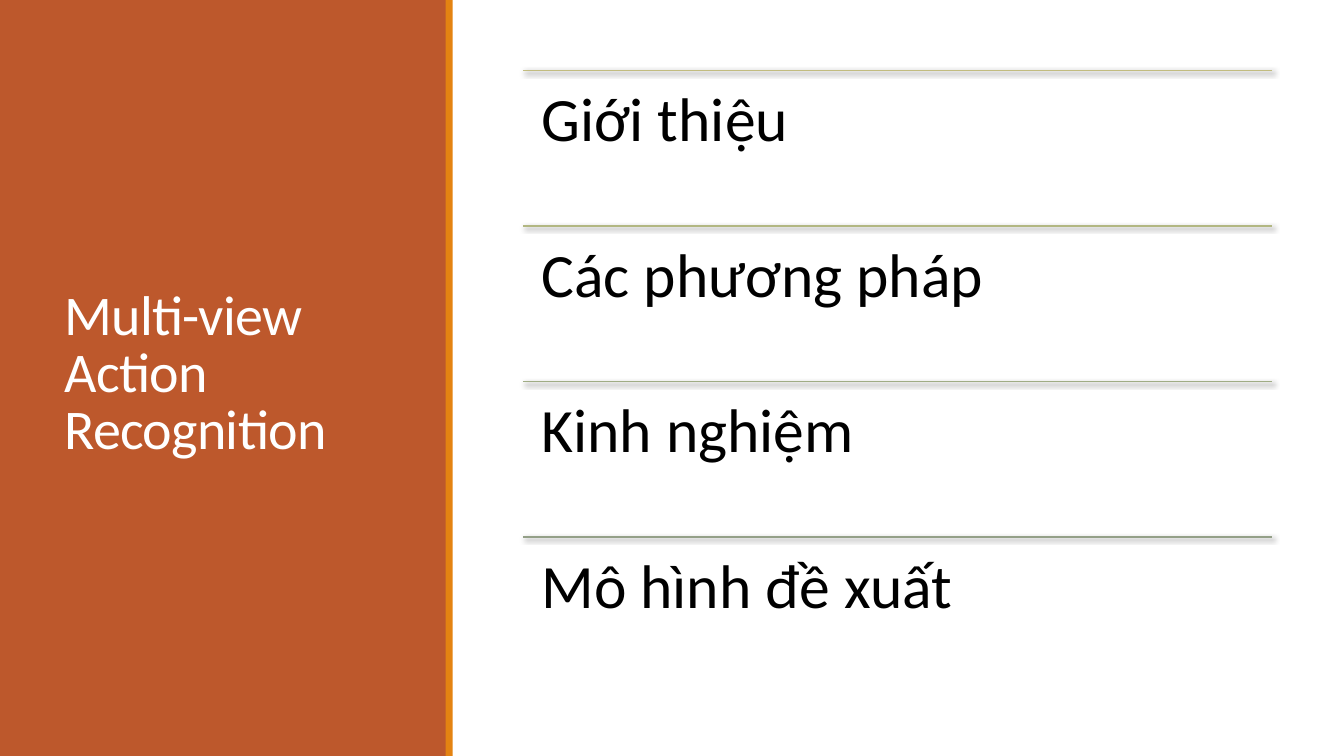
import pptx
import pptx.util
import pptx.dml.color
import pptx.enum.shapes
import pptx.enum.text
import pptx.oxml
import pptx.oxml.ns

RGBColor = pptx.dml.color.RGBColor
Inches = pptx.util.Inches
Pt = pptx.util.Pt

RUST = RGBColor(0xBD, 0x58, 0x2C)
AMBER = RGBColor(0xE4, 0x83, 0x12)
WHITE = RGBColor(0xFF, 0xFF, 0xFF)
BLACK = RGBColor(0x00, 0x00, 0x00)
SAND = RGBColor(0xC2, 0xBC, 0x80)
OLIVE = RGBColor(0xB2, 0xB7, 0x82)
MOSS = RGBColor(0xA0, 0xAC, 0x85)
SAGE = RGBColor(0x94, 0xA0, 0x88)

FONT = "Calibri"
WIDE, HIGH = 13.33, 7.5

# Agenda grid: one column, equal rows
LEFT, TOP = 5.19, 0.7
COL, ROW = 7.43, 1.543
INSET = 0.18

TOPICS = [
    ("Giới thiệu", SAND),
    ("Các phương pháp", OLIVE),
    ("Kinh nghiệm", MOSS),
    ("Mô hình đề xuất", SAGE),
]

SHADOW = (
    '<a:effectLst %s><a:outerShdw blurRad="44450" dist="25400" dir="2700000"'
    ' algn="br" rotWithShape="0"><a:srgbClr val="000000">'
    '<a:alpha val="60000"/></a:srgbClr></a:outerShdw></a:effectLst>'
    % pptx.oxml.ns.nsdecls("a")
)


def style(para, size, color, space):
    para.alignment = pptx.enum.text.PP_ALIGN.LEFT
    para.line_spacing = space
    for run in para.runs:
        run.font.name = FONT
        run.font.size = Pt(size)
        run.font.color.rgb = color


def add_band(slide, left, width, color):
    """Full-height colour band."""
    band = slide.shapes.add_shape(
        pptx.enum.shapes.MSO_SHAPE.RECTANGLE,
        Inches(left), 0, Inches(width), Inches(HIGH))
    band.shadow.inherit = False
    band.fill.solid()
    band.fill.fore_color.rgb = color
    band.line.fill.background()


def set_title(slide, text):
    """Title in the side panel, raised above the bands."""
    title = slide.shapes.title
    title.left, title.top = Inches(0.54), Inches(0.57)
    title.width, title.height = Inches(3.37), Inches(6.31)
    frame = title.text_frame
    frame.text = text
    frame.word_wrap = True
    frame.auto_size = pptx.enum.text.MSO_AUTO_SIZE.NONE
    frame.vertical_anchor = pptx.enum.text.MSO_ANCHOR.MIDDLE
    para = frame.paragraphs[0]
    style(para, 40, WHITE, 0.85)
    para.runs[0].font._element.set("spc", "-50")
    title._element.getparent().append(title._element)


def add_rule(slide, top, color):
    """Thin rule with a soft shadow."""
    rule = slide.shapes.add_connector(
        pptx.enum.shapes.MSO_CONNECTOR.STRAIGHT,
        Inches(LEFT), Inches(top), Inches(LEFT + COL), Inches(top))
    rule.line.color.rgb = color
    rule.line.width = Pt(1)
    rule._element.spPr.append(pptx.oxml.parse_xml(SHADOW))


def add_topic(slide, top, text):
    box = slide.shapes.add_textbox(
        Inches(LEFT), Inches(top), Inches(COL), Inches(ROW))
    frame = box.text_frame
    frame.text = text
    frame.word_wrap = True
    frame.margin_left = frame.margin_right = Inches(INSET)
    frame.margin_top = frame.margin_bottom = Inches(INSET)
    style(frame.paragraphs[0], 44, BLACK, 0.9)


def main():
    deck = pptx.Presentation()
    deck.slide_width, deck.slide_height = Inches(WIDE), Inches(HIGH)
    slide = deck.slides.add_slide(deck.slide_layouts.get_by_name("Title Only"))

    # Side panel
    add_band(slide, 0, 4.43, RUST)
    add_band(slide, 4.42, 0.07, AMBER)
    set_title(slide, "Multi-view Action Recognition")

    # Agenda
    for row, (text, color) in enumerate(TOPICS):
        top = TOP + row * ROW
        add_rule(slide, top, color)
        add_topic(slide, top, text)

    deck.save("out.pptx")


if __name__ == "__main__":
    main()
